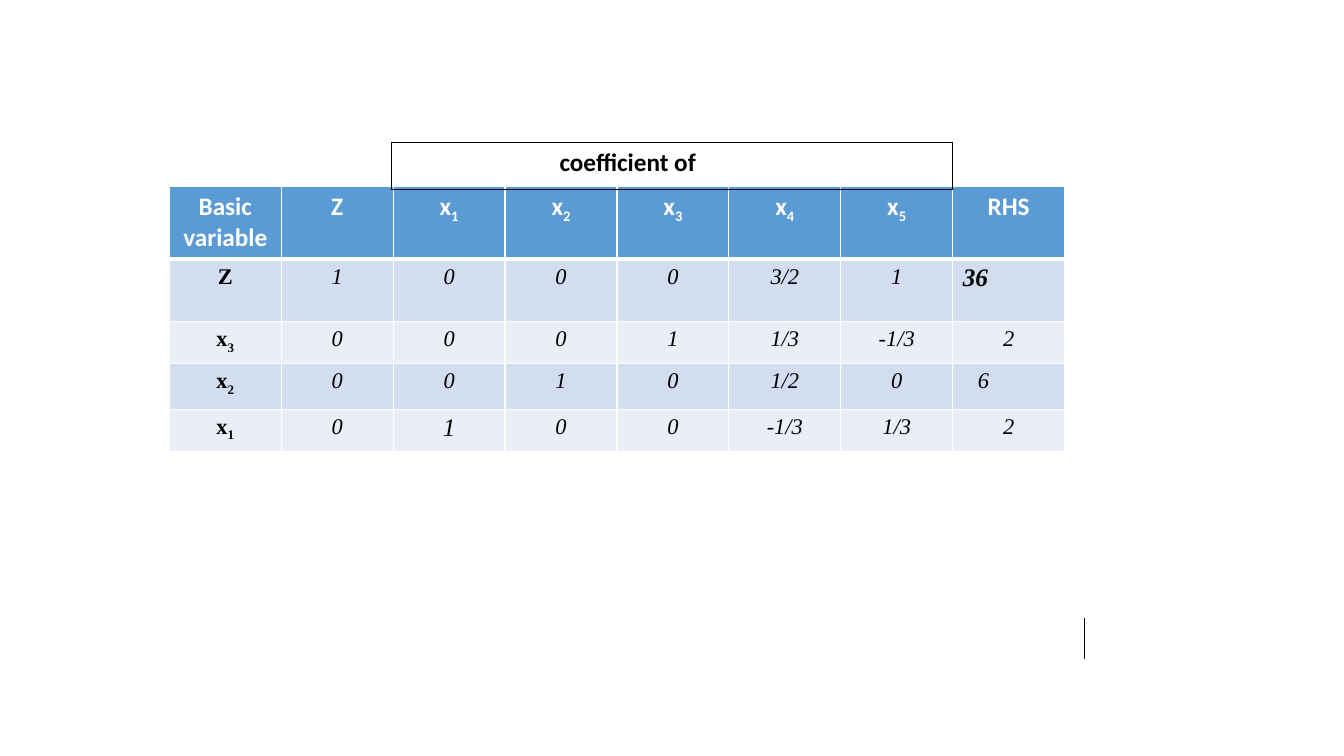
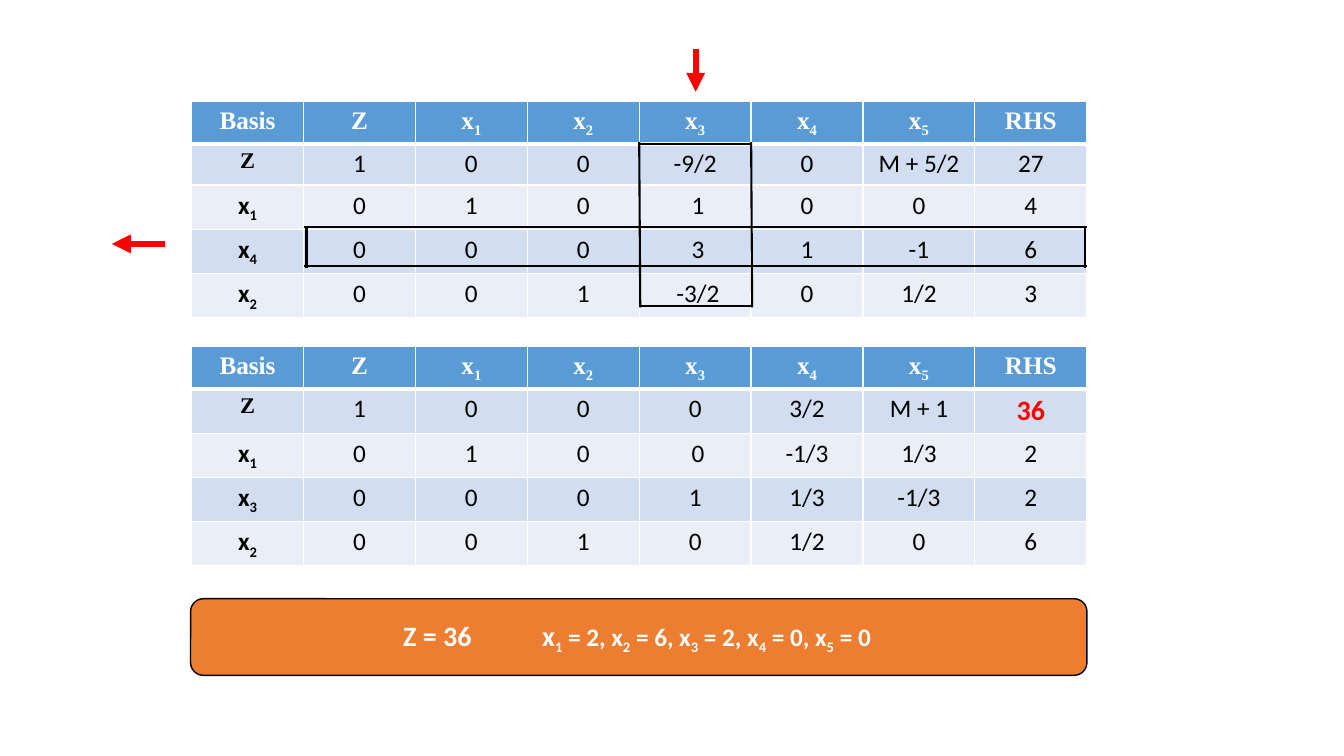
from dataclasses import dataclass, field, replace
from typing import NamedTuple

from lxml import etree
from pptx import Presentation
from pptx.dml.color import RGBColor
from pptx.enum.shapes import MSO_CONNECTOR, MSO_SHAPE
from pptx.enum.text import MSO_ANCHOR, PP_ALIGN
from pptx.oxml.ns import qn
from pptx.util import Emu, Pt

PX = 9144  # one hundredth of an inch
STRAIGHT = MSO_CONNECTOR.STRAIGHT
ROUNDED = MSO_SHAPE.ROUNDED_RECTANGLE
MIDDLE = MSO_ANCHOR.MIDDLE
LEFT, CENTER = PP_ALIGN.LEFT, PP_ALIGN.CENTER
SLIDE_WIDTH, SLIDE_HEIGHT = 1333, 750
COLUMN_WIDTH = 111
CELL_INSET = 10


class TextStyle(NamedTuple):
    face: str
    size: int
    color: str
    bold: bool = False
    italic: bool = False


@dataclass(frozen=True)
class Theme:
    white: str = "FFFFFF"
    black: str = "000000"
    red: str = "FF0000"
    header: str = "5B9BD5"
    bands: tuple[str, str] = ("D2DEEF", "EAEFF7")
    banner: str = "ED7D31"
    sans: str = "Calibri"
    serif: str = "Times New Roman"
    small: int = 16
    normal: int = 18
    large: int = 20
    hairline: float = 0.5
    thin: float = 1
    frame: float = 1.5
    thick: float = 3
    arrow: float = 4.5


THEME = Theme()

SANS_BODY = TextStyle(THEME.sans, THEME.normal, THEME.black)
SANS_BOLD = SANS_BODY._replace(bold=True)
SANS_HEADER = SANS_BOLD._replace(color=THEME.white)
SERIF_HEADER = SANS_HEADER._replace(face=THEME.serif)
SERIF_LABEL = TextStyle(THEME.serif, THEME.small, THEME.black, bold=True)
SERIF_ITALIC = SERIF_LABEL._replace(bold=False, italic=True)
OPTIMUM = SANS_BOLD._replace(size=THEME.large, color=THEME.red)


@dataclass(frozen=True)
class CellFormat:
    style: TextStyle
    align: int = CENTER
    left_inset: int = CELL_INSET
    right_inset: int = CELL_INSET


@dataclass(frozen=True)
class Tableau:
    left: int
    top: int
    row_heights: list[int]
    rows: list[list[str]]
    header: CellFormat
    label: CellFormat
    body: CellFormat
    special: dict[tuple[int, int], CellFormat] = field(default_factory=dict)

    def format_of(self, row: int, column: int) -> CellFormat:
        usual = self.header if row == 0 else self.label if column == 0 else self.body
        return self.special.get((row, column), usual)


class Segment(NamedTuple):
    x1: int
    y1: int
    x2: int
    y2: int
    color: str = THEME.black
    width: float = THEME.frame
    arrow: bool = False


def write(paragraph, text: str, style: TextStyle, align: int = CENTER) -> None:
    """Write text in which an underscore lowers the digit after it."""
    first, *others = text.split("_")
    paragraph.text = first
    lowered = []
    for part in others:
        subscript = paragraph.add_run()
        subscript.text = part[0]
        lowered.append(subscript)
        if part[1:]:
            paragraph.add_run().text = part[1:]
    paragraph.alignment = align
    for run in paragraph.runs:
        font = run.font
        font.name, font.size = style.face, Pt(style.size)
        font.bold, font.italic = style.bold, style.italic
        font.color.rgb = RGBColor.from_string(style.color)
    for subscript in lowered:
        subscript.font._element.set("baseline", "-25000")


def set_border(cell, side: str, color: str, width: float) -> None:
    edge = etree.SubElement(cell._tc.get_or_add_tcPr(), qn(f"a:ln{side}"), w=str(Pt(width)))
    fill = etree.SubElement(edge, qn("a:solidFill"))
    etree.SubElement(fill, qn("a:srgbClr"), val=color)


def fill_cell(cell, text: str, look: CellFormat, fill: str | None,
              edge: str, top: float, bottom: float) -> None:
    cell.margin_left, cell.margin_right = Emu(look.left_inset * PX), Emu(look.right_inset * PX)
    write(cell.text_frame.paragraphs[0], text, look.style, look.align)
    for side, width in (("L", THEME.thin), ("R", THEME.thin), ("T", top), ("B", bottom)):
        set_border(cell, side, edge, width)
    if fill:
        cell.fill.solid()
        cell.fill.fore_color.rgb = RGBColor.from_string(fill)
    else:
        cell.fill.background()


def add_grid(slide, left: int, top: int, widths: list[int], heights: list[int]):
    frame = slide.shapes.add_table(
        len(heights), len(widths), *(Emu(n * PX) for n in (left, top, sum(widths), sum(heights))))
    grid = frame.table
    grid.first_row = grid.horz_banding = False
    for column, width in zip(grid.columns, widths):
        column.width = Emu(width * PX)
    for row, height in zip(grid.rows, heights):
        row.height = Emu(height * PX)
    return grid


def draw_tableau(slide, tableau: Tableau) -> None:
    widths = [COLUMN_WIDTH] * len(tableau.rows[0])
    grid = add_grid(slide, tableau.left, tableau.top, widths, tableau.row_heights)
    for r, entries in enumerate(tableau.rows):
        fill = THEME.bands[(r - 1) % 2] if r else THEME.header
        top = THEME.thick if r == 1 else THEME.thin
        bottom = THEME.thick if r == 0 else THEME.thin
        for c, entry in enumerate(entries):
            fill_cell(grid.cell(r, c), entry, tableau.format_of(r, c),
                      fill, THEME.white, top, bottom)


def draw_segment(slide, segment: Segment) -> None:
    line = slide.shapes.add_connector(STRAIGHT, *(Emu(n * PX) for n in segment[:4]))
    line.line.color.rgb = RGBColor.from_string(segment.color)
    line.line.width = Pt(segment.width)
    if segment.arrow:
        etree.SubElement(line.line._get_or_add_ln(), qn("a:tailEnd"), type="triangle")
    etree.SubElement(line._element.spPr, qn("a:effectLst"))


def draw_caption(slide, left: int, top: int, width: int, height: int) -> None:
    grid = add_grid(slide, left, top, [width], [height])
    fill_cell(grid.cell(0, 0), "coefficient of", CellFormat(SANS_BOLD, LEFT, left_inset=167),
              None, THEME.black, THEME.thin, THEME.thin)


def draw_solution(slide, left: int, top: int, width: int, height: int) -> None:
    banner = slide.shapes.add_shape(ROUNDED, *(Emu(n * PX) for n in (left, top, width, height)))
    banner.shadow.inherit = False
    banner.fill.solid()
    banner.fill.fore_color.rgb = RGBColor.from_string(THEME.banner)
    banner.line.color.rgb = RGBColor.from_string(THEME.black)
    banner.line.width = Pt(THEME.thin)
    frame = banner.text_frame
    frame.word_wrap = True
    frame.vertical_anchor = MIDDLE
    frame.margin_left = Emu(207 * PX)
    solution = frame.paragraphs[0]
    stops = etree.SubElement(solution._p.get_or_add_pPr(), qn("a:tabLst"))
    etree.SubElement(stops, qn("a:tab"), pos=str(138 * PX), algn="l")
    write(solution, "Z = 36\tx_1 = 2, x_2 = 6, x_3 = 2, x_4 = 0, x_5 = 0", SANS_HEADER, LEFT)
    solution.runs[0].font.size = Pt(THEME.large)


# Content
VARIABLES = ["Z", "x_1", "x_2", "x_3", "x_4", "x_5", "RHS"]

FINAL_TABLEAU = Tableau(
    168, 185, [72, 62, 42, 45, 42],
    [["Basic variable", *VARIABLES],
     ["Z", "1", "0", "0", "0", "3/2", "1", "36"],
     ["x_3", "0", "0", "0", "1", "1/3", "-1/3", "2"],
     ["x_2", "0", "0", "1", "0", "1/2", "0", "6"],
     ["x_1", "0", "1", "0", "0", "-1/3", "1/3", "2"]],
    CellFormat(SANS_HEADER), CellFormat(SERIF_LABEL), CellFormat(SERIF_ITALIC),
    {(1, 7): CellFormat(SERIF_ITALIC._replace(size=THEME.normal, bold=True), LEFT),
     (3, 7): CellFormat(SERIF_ITALIC, right_inset=60),
     (4, 2): CellFormat(SERIF_ITALIC._replace(size=THEME.normal))})

PIVOT_TABLEAU = Tableau(
    190, 101, [41] * 5,
    [["Basis", *VARIABLES],
     ["Z", "1", "0", "0", "-9/2", "0", "M + 5/2", "27"],
     ["x_1", "0", "1", "0", " 1", "0", "0", "4"],
     ["x_4", "0", "0", "0", " 3", "1", "-1", "6"],
     ["x_2", "0", "0", "1", " -3/2", "0", "1/2", "3"]],
    CellFormat(SERIF_HEADER), CellFormat(SANS_BOLD), CellFormat(SANS_BODY),
    {(1, 0): CellFormat(SERIF_LABEL)})

OPTIMAL_TABLEAU = replace(
    PIVOT_TABLEAU, top=344,
    rows=[["Basis", *VARIABLES],
          ["Z", "1", "0", "0", "0", "3/2", "M + 1", "36"],
          ["x_1", "0", "1", "0", " 0", "-1/3", "1/3", "2"],
          ["x_3", "0", "0", "0", "1", "1/3", "-1/3", "2"],
          ["x_2", "0", "0", "1", "0", "1/2", "0", "6"]],
    special={**PIVOT_TABLEAU.special, (1, 7): CellFormat(OPTIMUM)})

CURSOR_MARK = Segment(1075, 654, 1075, 613, width=THEME.hairline)
PIVOT_MARKS = [
    # Leaving and entering variables
    Segment(164, 242, 111, 242, THEME.red, THEME.arrow, True),
    Segment(690, 49, 690, 91, THEME.red, THEME.arrow, True),
    # Pivot row
    *(Segment(302, y, 1078, y) for y in (225, 264)),
    *(Segment(x, 266, x, 225) for x in (304, 1076)),
    # Pivot column
    *(Segment(x, 141, x + 1, 305) for x in (634, 745)),
    *(Segment(634, y, 745, y) for y in (143, 304)),
]


def main() -> None:
    deck = Presentation()
    deck.slide_width, deck.slide_height = Emu(SLIDE_WIDTH * PX), Emu(SLIDE_HEIGHT * PX)
    blank = deck.slide_layouts[6]

    # Final tableau
    final = deck.slides.add_slide(blank)
    draw_tableau(final, FINAL_TABLEAU)
    draw_caption(final, 388, 141, 557, 47)
    draw_segment(final, CURSOR_MARK)

    # Pivot step and solution
    pivot = deck.slides.add_slide(blank)
    for tableau in (OPTIMAL_TABLEAU, PIVOT_TABLEAU):
        draw_tableau(pivot, tableau)
    for mark in PIVOT_MARKS:
        draw_segment(pivot, mark)
    draw_solution(pivot, 189, 594, 889, 76)

    deck.save("out.pptx")


if __name__ == "__main__":
    main()
